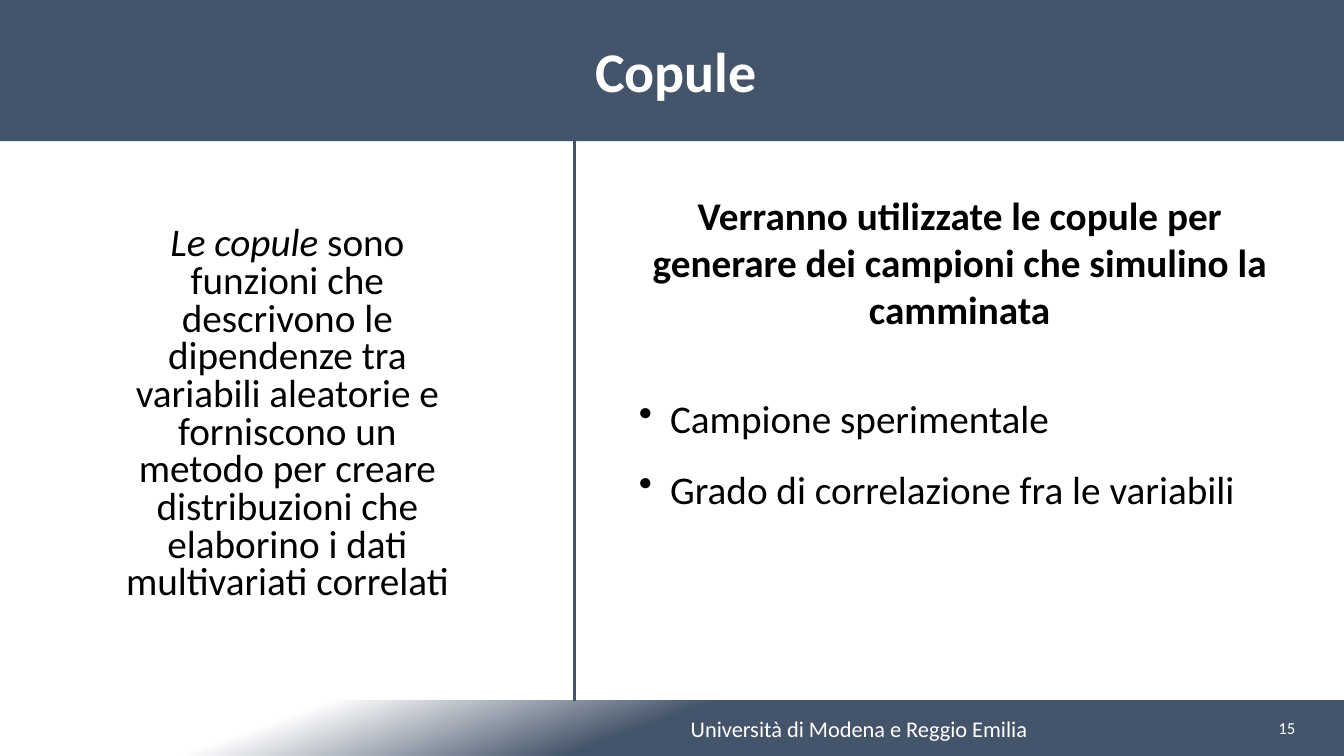
import pptx
import pptx.dml.color
import pptx.enum.shapes
import pptx.enum.text
import pptx.oxml
import pptx.util

ALIGN = pptx.enum.text.PP_ALIGN
ANCHOR = pptx.enum.text.MSO_ANCHOR
SLATE, WHITE, BLACK = "44546A", "FFFFFF", "000000"


def color(hex_value):
    return pptx.dml.color.RGBColor.from_string(hex_value)


class SlideBuilder:
    """Draws styled elements on a slide, with lengths in percent of its size."""

    font_name = "Calibri"

    def __init__(self, presentation):
        self.width = presentation.slide_width
        self.height = presentation.slide_height
        self.slide = presentation.slides.add_slide(presentation.slide_layouts[6])

    def place(self, left, top, width, height):
        return [round(share * side / 100) for share, side in
                zip((left, top, width, height), (self.width, self.height) * 2)]

    def fill_text(self, shape, paragraphs, size, text_color=BLACK, align=ALIGN.LEFT,
                  anchor=ANCHOR.TOP, spacing=None, bullets=False, grow=False):
        frame = shape.text_frame
        frame.word_wrap = True
        frame.vertical_anchor = anchor
        if grow:
            frame.auto_size = pptx.enum.text.MSO_AUTO_SIZE.SHAPE_TO_FIT_TEXT
        for index, runs in enumerate(paragraphs):
            paragraph = frame.add_paragraph() if index else frame.paragraphs[0]
            paragraph.alignment = align
            if spacing:
                paragraph.line_spacing = spacing
            if bullets:
                self.add_bullet(paragraph)
            for text, style in runs:
                run = paragraph.add_run()
                run.text = text
                run.font.name = self.font_name
                run.font.size = pptx.util.Pt(size)
                run.font.color.rgb = color(text_color)
                run.font.bold = style == "bold"
                run.font.italic = style == "italic"

    def add_bullet(self, paragraph):
        properties = paragraph._p.get_or_add_pPr()
        indent = pptx.util.Inches(0.31)
        properties.set("marL", str(indent))
        properties.set("indent", str(-indent))
        bullet = pptx.oxml.parse_xml(
            '<a:buChar xmlns:a="http://schemas.openxmlformats.org/drawingml/2006/main" char="•"/>')
        properties.append(bullet)

    def add_text(self, box, paragraphs, size, **style):
        shape = self.slide.shapes.add_textbox(*self.place(*box))
        self.fill_text(shape, paragraphs, size, **style)

    def add_band(self, top, height, text, size, style=None, left_inset=0.1, gradient=None):
        shape = self.slide.shapes.add_shape(
            pptx.enum.shapes.MSO_SHAPE.RECTANGLE, *self.place(0, top, 100, height))
        shape.shadow.inherit = False
        shape.line.fill.background()
        if gradient:
            shape.fill.gradient()
            shape.fill.gradient_angle = 290
            for stop, (position, stop_color) in zip(shape.fill.gradient_stops, gradient):
                stop.position = position
                stop.color.rgb = color(stop_color)
        else:
            shape.fill.solid()
            shape.fill.fore_color.rgb = color(SLATE)
        shape.text_frame.margin_left = pptx.util.Inches(left_inset)
        self.fill_text(shape, [[(text, style)]], size, text_color=WHITE,
                       align=ALIGN.CENTER, anchor=ANCHOR.MIDDLE)

    def add_divider(self, left, top, bottom):
        x, start, _, end = self.place(left, top, 0, bottom)
        line = self.slide.shapes.add_connector(
            pptx.enum.shapes.MSO_CONNECTOR.STRAIGHT, x, start, x, end)
        line.line.color.rgb = color(SLATE)
        line.line.width = pptx.util.Pt(2)
        line._element.spPr.append(pptx.oxml.parse_xml(
            '<a:effectLst xmlns:a="http://schemas.openxmlformats.org/drawingml/2006/main"/>'))


def main():
    presentation = pptx.Presentation()
    presentation.slide_width = pptx.util.Inches(13.33)
    presentation.slide_height = pptx.util.Inches(7.5)
    builder = SlideBuilder(presentation)

    title_height, footer_top = 18.67, 92.67
    footer_height = 100 - footer_top
    right_left, right_width = 46.8, 49.2

    builder.add_band(0, title_height, "Copule", 40, style="bold", left_inset=0.18)
    builder.add_band(footer_top, footer_height, "Università di Modena e Reggio Emilia", 16,
                     left_inset=3.81, gradient=[(0.22, WHITE), (0.48, SLATE)])
    builder.add_text((84.07, footer_top, 13.05, footer_height), [[("15", None)]], 12,
                     text_color=WHITE, align=ALIGN.RIGHT, anchor=ANCHOR.MIDDLE)
    builder.add_text(
        (7.58, 29.33, 27.6, 52.53),
        [[("Le copule", "italic"),
          (" sono funzioni che descrivono le dipendenze tra variabili aleatorie e forniscono "
           "un metodo per creare distribuzioni che elaborino i dati multivariati correlati", None)]],
        28, align=ALIGN.CENTER, spacing=0.8)
    builder.add_divider(42.75, title_height, footer_top)
    builder.add_text(
        (right_left, 24.67, right_width, 20.13),
        [[("Verranno utilizzate le copule per generare dei campioni che simulino la camminata",
           "bold")]],
        28, align=ALIGN.CENTER, grow=True)
    builder.add_text(
        (right_left, 48.4, right_width, 28.67),
        [[("Campione sperimentale", None)], [("Grado di correlazione fra le variabili", None)]],
        28, spacing=1.5, bullets=True, grow=True)

    presentation.save("out.pptx")


if __name__ == "__main__":
    main()
